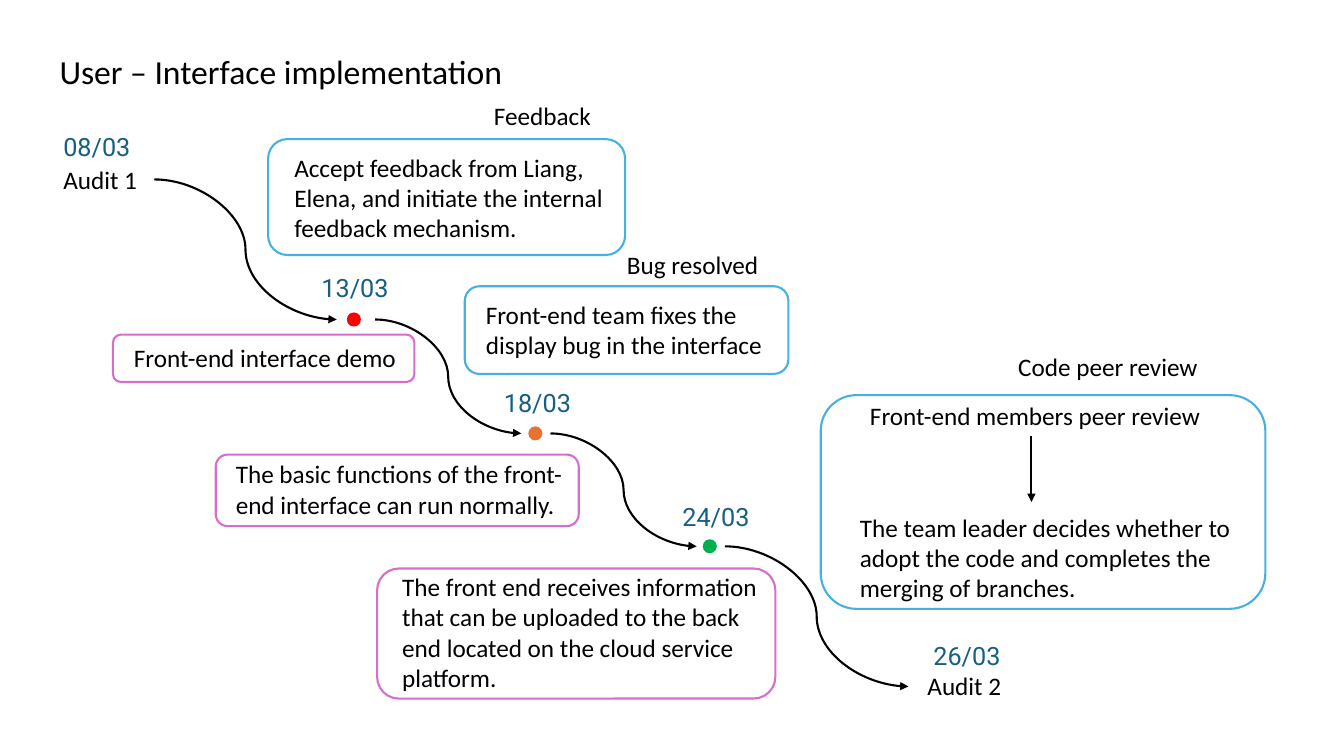
from dataclasses import dataclass

from lxml.etree import SubElement
from pptx import Presentation
from pptx.dml.color import RGBColor
from pptx.enum.shapes import MSO_CONNECTOR as Connector, MSO_SHAPE as Shape
from pptx.enum.text import MSO_ANCHOR as Anchor, MSO_AUTO_SIZE as AutoSize, PP_ALIGN as Align
from pptx.oxml.ns import qn
from pptx.util import Inches, Pt


@dataclass(frozen=True)
class Theme:
    ink: str = "000000"
    date: str = "156082"
    review: str = "46B1E1"
    result: str = "D86ECC"
    body_font: str = "Calibri"
    date_font: str = "Roboto"
    title_size: float = 24
    body_size: float = 18
    line_width: float = 1.5


class TimelineSlide:
    def __init__(self, slide, theme):
        self.slide = slide
        self.theme = theme

    def set_text(self, shape, text, font, size, color):
        frame = shape.text_frame
        frame.text = text
        frame_format = {"word_wrap": True, "auto_size": AutoSize.NONE,
                        "vertical_anchor": Anchor.TOP}
        for name, value in frame_format.items():
            setattr(frame, name, value)
        paragraph = frame.paragraphs[0]
        paragraph.alignment = Align.LEFT
        for name, value in {"name": font, "size": Pt(size), "bold": False}.items():
            setattr(paragraph.font, name, value)
        paragraph.font.color.rgb = RGBColor.from_string(color)

    def title(self, text, left, top, width, height):
        shape = self.slide.shapes.title
        position = {"left": left, "top": top, "width": width, "height": height}
        for name, value in position.items():
            setattr(shape, name, Inches(value))
        self.set_text(shape, text, self.theme.body_font, self.theme.title_size, self.theme.ink)

    def label(self, text, left, top, width, height=0.4):
        shape = self.slide.shapes.add_textbox(*map(Inches, (left, top, width, height)))
        self.set_text(shape, text, self.theme.body_font, self.theme.body_size, self.theme.ink)

    def date(self, text, left, top):
        shape = self.slide.shapes.add_textbox(*map(Inches, (left, top, 1, 0.4)))
        self.set_text(shape, text, self.theme.date_font, self.theme.body_size, self.theme.date)

    def dot(self, left, top, color, diameter=0.14):
        shape = self.slide.shapes.add_shape(
            Shape.OVAL, *map(Inches, (left, top, diameter, diameter)))
        shape.shadow.inherit = False
        shape.fill.solid()
        shape.fill.fore_color.rgb = RGBColor.from_string(color)
        shape.line.fill.background()

    def frame(self, color, left, top, width, height):
        shape = self.slide.shapes.add_shape(
            Shape.ROUNDED_RECTANGLE, *map(Inches, (left, top, width, height)))
        shape.shadow.inherit = False
        shape.fill.background()
        shape.line.color.rgb = RGBColor.from_string(color)
        shape.line.width = Pt(self.theme.line_width)

    def arrow(self, kind, *ends):
        connector = self.slide.shapes.add_connector(kind, *map(Inches, ends))
        connector.line.color.rgb = RGBColor.from_string(self.theme.ink)
        connector.line.width = Pt(self.theme.line_width)
        properties = connector.element.spPr
        SubElement(properties.find(qn("a:ln")), qn("a:tailEnd"), type="triangle")
        SubElement(properties, qn("a:effectLst"))


def main():
    presentation = Presentation()
    presentation.slide_width = Inches(13.33)
    presentation.slide_height = Inches(7.5)
    theme = Theme()
    timeline = TimelineSlide(
        presentation.slides.add_slide(presentation.slide_layouts[5]), theme)

    timeline.title("User – Interface implementation", 0.49, 0.45, 6.18, 0.5)

    # Curved path between the milestones
    for ends in [(1.53, 1.78, 3.34, 3.17), (3.72, 3.17, 5.17, 4.3),
                 (5.46, 4.3, 6.91, 5.42), (7.19, 5.42, 9.01, 6.81)]:
        timeline.arrow(Connector.CURVE, *ends)
    for left, top, color in [(3.44, 3.1, "FF0000"), (5.24, 4.23, "E97132"),
                             (6.97, 5.35, "00B050")]:
        timeline.dot(left, top, color)

    # Dates and audits
    for text, left, top in [("08/03", 0.53, 1.25), ("13/03", 3.09, 2.65),
                            ("18/03", 4.9, 3.79), ("24/03", 6.67, 4.92),
                            ("26/03", 9.16, 6.3)]:
        timeline.date(text, left, top)
    timeline.label("Audit 1", 0.53, 1.58, 0.98)
    timeline.label("Audit 2", 9.1, 6.6, 0.98)

    # Outlines: reviews above the path, results below it
    for color, *box in [(theme.review, 2.66, 1.38, 3.54, 1.15),
                        (theme.review, 4.61, 2.84, 3.21, 0.87),
                        (theme.review, 8.14, 3.92, 4.41, 2.12),
                        (theme.result, 1.12, 3.32, 2.99, 0.47),
                        (theme.result, 2.14, 4.51, 3.6, 0.71),
                        (theme.result, 3.74, 5.64, 3.95, 1.29)]:
        timeline.frame(color, *box)

    # Headings and descriptions
    for text, *box in [
        ("Feedback", 4.8, 0.95, 1.2),
        ("Accept feedback from Liang, Elena, and initiate the internal feedback mechanism.",
         2.82, 1.46, 3.38, 1.01),
        ("Bug resolved", 6.12, 2.42, 1.61),
        ("Front-end team fixes the display bug in the interface", 4.72, 2.92, 2.98, 0.71),
        ("Code peer review", 10, 3.44, 2.05),
        ("Front-end members peer review", 8.53, 3.92, 4.02),
        ("The team leader decides whether to adopt the code and completes the merging of branches.",
         8.43, 5.03, 4.22, 1.01),
        ("Front-end interface demo", 1.23, 3.35, 2.86),
        ("The basic functions of the front-end interface can run normally.",
         2.24, 4.5, 3.6, 0.71),
        ("The front end receives information that can be uploaded to the back end "
         "located on the cloud service platform.", 3.89, 5.62, 3.95, 1.31),
    ]:
        timeline.label(text, *box)

    # Step inside the code review
    timeline.arrow(Connector.STRAIGHT, 10.23, 4.33, 10.23, 4.98)

    presentation.save("out.pptx")


if __name__ == "__main__":
    main()
